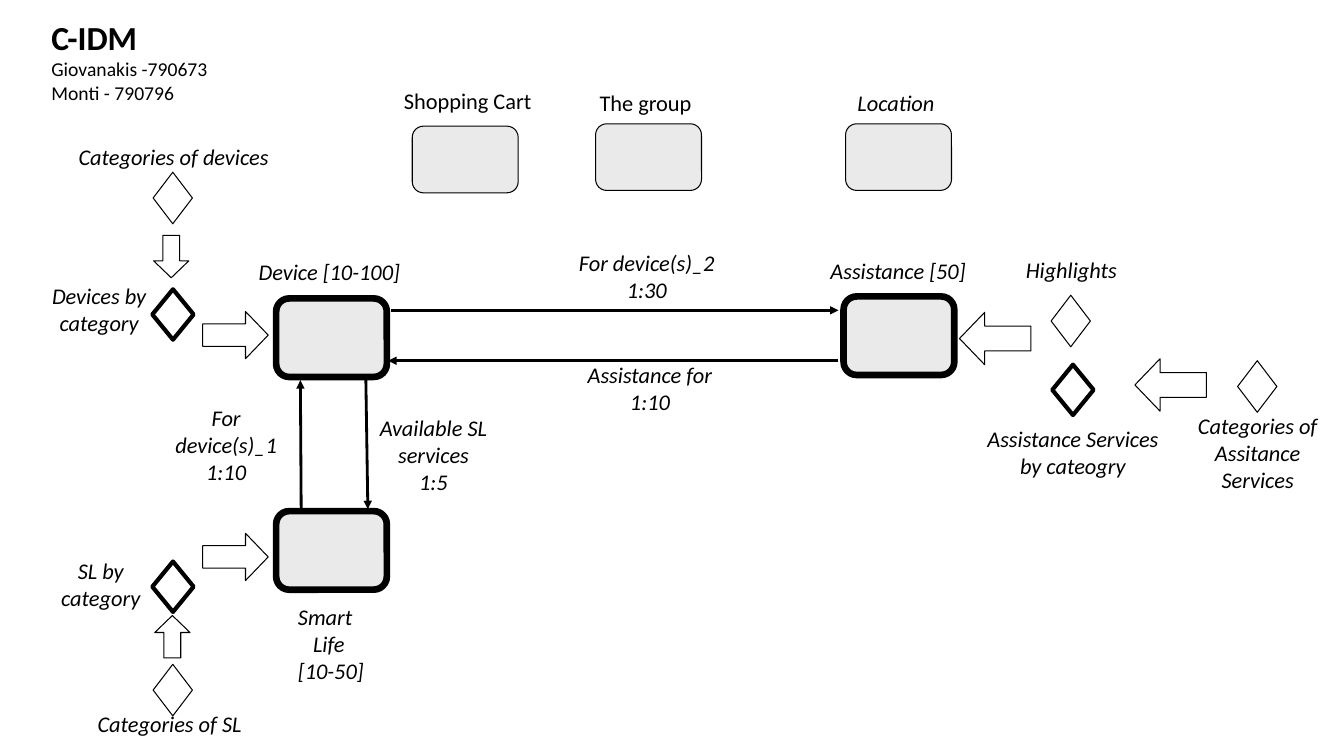
import pptx
import pptx.util
import pptx.dml.color
import pptx.enum.shapes
import pptx.enum.text
import pptx.oxml
import pptx.oxml.ns

Cm = pptx.util.Cm
Pt = pptx.util.Pt
Kind = pptx.enum.shapes.MSO_SHAPE
Align = pptx.enum.text.PP_ALIGN


def color(code):
    return pptx.dml.color.RGBColor.from_string(code)


def write(frame, text, size=16, bold=False, italic=True, align=Align.LEFT,
          font="Calibri", ink="000000"):
    for line in text.split("\n"):
        para = frame.paragraphs[-1]
        if para.runs:
            para = frame.add_paragraph()
        para.alignment = align
        run = para.add_run()
        run.text = line
        run.font.name = font
        run.font.size = Pt(size)
        run.font.bold = bold
        run.font.italic = italic
        run.font.color.rgb = color(ink)


class Board:
    ink = "000000"
    gray = "EAEAEA"
    white = "FFFFFF"
    thin = 0.75

    def __init__(self, deck):
        self.slide = deck.slides.add_slide(deck.slide_layouts[5])
        self.shapes = self.slide.shapes

    def title(self, x, y, w, h, head, names):
        box = self.shapes.title
        box.left, box.top, box.width, box.height = Cm(x), Cm(y), Cm(w), Cm(h)
        frame = box.text_frame
        frame.word_wrap = True
        frame.auto_size = pptx.enum.text.MSO_AUTO_SIZE.NONE
        frame.vertical_anchor = pptx.enum.text.MSO_ANCHOR.TOP
        write(frame, head, size=24, bold=True, italic=False)
        write(frame, names, size=14, italic=False)

    def shape(self, kind, x, y, w, h, fill=None, line=thin):
        item = self.shapes.add_shape(kind, Cm(x), Cm(y), Cm(w), Cm(h))
        item.shadow.inherit = False
        if fill:
            item.fill.solid()
            item.fill.fore_color.rgb = color(fill)
        else:
            item.fill.background()
        item.line.color.rgb = color(self.ink)
        item.line.width = Pt(line)
        return item

    def card(self, x, y):
        self.shape(Kind.ROUNDED_RECTANGLE, x, y, 2.67, 1.68, self.gray)

    def topic(self, x, y):
        self.shape(Kind.ROUNDED_RECTANGLE, x, y, 2.79, 1.98, self.gray, 4.75)

    def group(self, x, y):
        self.shape(Kind.DIAMOND, x, y, 0.99, 1.3, self.white)

    def focus(self, x, y):
        self.shape(Kind.DIAMOND, x, y, 1.04, 1.27, self.white, 3)

    def arrow(self, x, y, w, h, turn=0):
        item = self.shape(Kind.RIGHT_ARROW, x, y, w, h)
        item.adjustments[0] = 0.475
        item.adjustments[1] = 0.48
        item.rotation = turn

    def link(self, x1, y1, x2, y2):
        item = self.shapes.add_connector(
            pptx.enum.shapes.MSO_CONNECTOR.STRAIGHT,
            Cm(x1), Cm(y1), Cm(x2), Cm(y2))
        item.line.color.rgb = color(self.ink)
        item.line.width = Pt(2)
        tip = pptx.oxml.parse_xml(
            '<a:tailEnd %s type="triangle"/>' % pptx.oxml.ns.nsdecls("a"))
        item.line._get_or_add_ln().append(tip)
        none = pptx.oxml.parse_xml(
            '<a:effectLst %s/>' % pptx.oxml.ns.nsdecls("a"))
        item._element.spPr.append(none)

    def label(self, x, y, w, h, text, wrap=False, **style):
        box = self.shapes.add_textbox(Cm(x), Cm(y), Cm(w), Cm(h))
        box.text_frame.word_wrap = wrap
        write(box.text_frame, text, **style)
        return box.text_frame


def main():
    deck = pptx.Presentation()
    deck.slide_width, deck.slide_height = Cm(33.87), Cm(19.05)
    board = Board(deck)
    board.title(1.04, 0.3, 10.97, 2.49, "C-IDM",
                "Giovanakis -790673\nMonti - 790796")

    for x, y in ((10.39, 3.18), (15.01, 3.12), (21.31, 3.12)):
        board.card(x, y)
    for x, y in ((6.96, 7.52), (6.96, 12.88), (21.26, 7.47)):
        board.topic(x, y)
    for x, y in ((3.86, 4.34), (3.86, 16.74), (31.19, 9.09), (26.49, 7.44)):
        board.group(x, y)
    for x, y in ((3.84, 7.29), (3.84, 14.15), (26.52, 9.19)):
        board.focus(x, y)

    for x, y in ((5.11, 7.85), (5.11, 13.44)):
        board.arrow(x, y, 1.65, 1.19)
    for x, y in ((24.18, 7.87), (28.6, 9.04)):
        board.arrow(x, y, 1.8, 1.32, 180)
    for x, y, turn in ((3.78, 6.02, 90), (3.81, 15.6, 270)):
        board.arrow(x, y, 1.07, 0.89, turn)

    for ends in ((7.59, 12.83, 7.57, 9.58), (9.22, 9.58, 9.27, 12.83),
                 (9.86, 7.82, 21.13, 7.82), (21.13, 9.09, 9.78, 9.09)):
        board.link(*ends)

    for x, y, w, text in ((9.93, 2.08, 3.76, "Shopping Cart"),
                          (14.86, 2.13, 2.87, "The group")):
        board.label(x, y, w, 0.94, text, italic=False)
    for x, y, w, text in ((21.36, 2.13, 2.49, "Location"),
                          (1.73, 3.48, 5.36, "Categories of devices"),
                          (6.27, 6.38, 4.11, "Device [10-100]"),
                          (20.68, 6.35, 3.96, "Assistance [50]")):
        board.label(x, y, w, 0.94, text)
    for x, y, w, h, text in (
            (25.58, 6.32, 2.84, 0.94, "Highlights"),
            (2.18, 17.78, 4.19, 0.94, "Categories of SL"),
            (1.04, 6.99, 2.92, 1.63, "Devices by\ncategory"),
            (1.27, 13.92, 2.54, 1.63, "SL by\ncategory"),
            (24.54, 10.59, 5, 1.63, "Assistance Services\nby cateogry")):
        board.label(x, y, w, h, text, align=Align.CENTER)
    for x, y, w, h, text in (
            (3.86, 10.06, 3.68, 3, "For device(s)_1\n1:10"),
            (13.94, 6.15, 4.72, 1.63, "For device(s)_2\n1:30"),
            (14.02, 8.97, 4.72, 1.63, "Assistance for\n1:10"),
            (9.07, 10.31, 3.71, 2.31, "Available SL services\n1:5"),
            (29.51, 10.26, 4.37, 2.31, "Categories of\nAssitance Services")):
        board.label(x, y, w, h, text, wrap=True, align=Align.CENTER)

    smart = board.label(7.26, 15.08, 2.18, 2.31, "Smart\nLife\n[10-50]")
    life = smart.paragraphs[1]
    life._p.get_or_add_pPr().set("marL", str(int(Cm(0.38))))

    deck.save("out.pptx")


if __name__ == "__main__":
    main()
